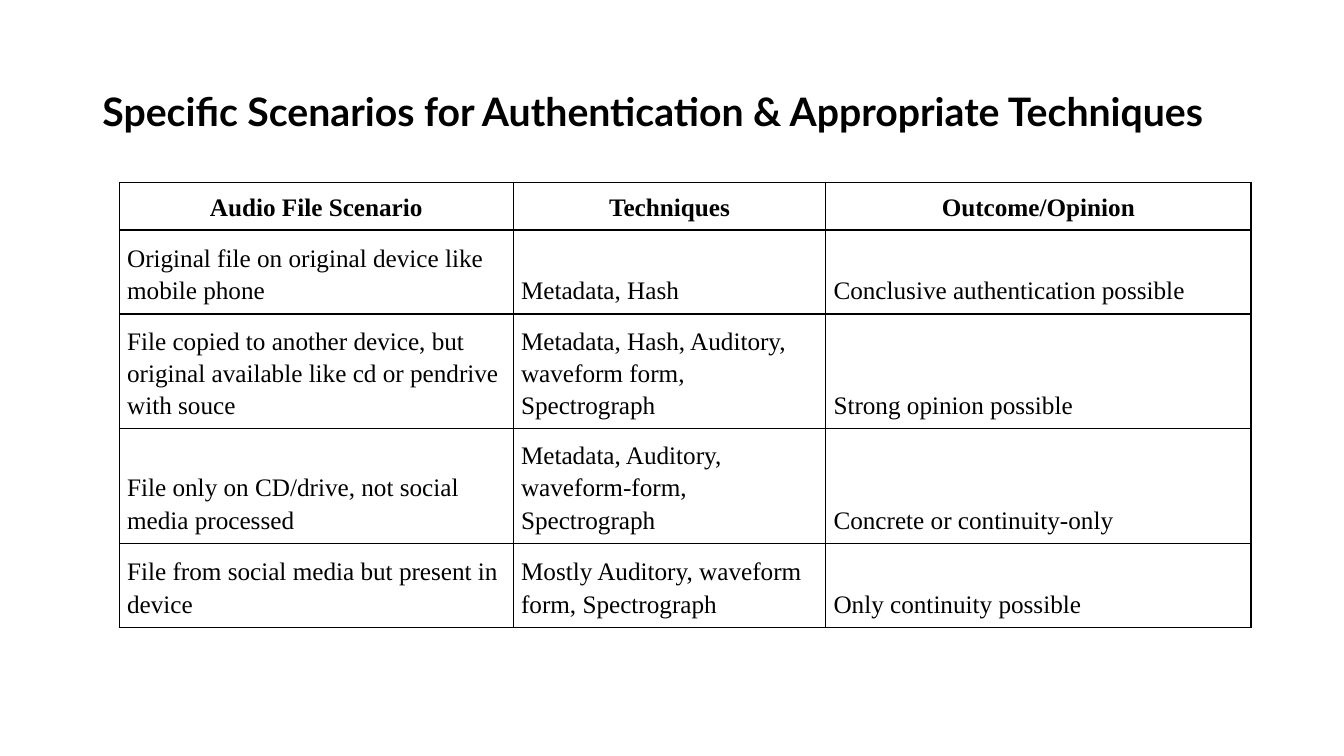
from dataclasses import dataclass

from lxml import etree
from pptx import Presentation
from pptx.dml.color import RGBColor
from pptx.enum import text
from pptx.oxml import ns
from pptx.util import Pt


@dataclass(frozen=True)
class Theme:
    ink: str = "000000"
    title_font: str = "Lato"
    table_font: str = "Times New Roman"
    title_size: int = 28
    table_size: int = 18
    border: int = 1


THEME = Theme()
TITLE = "Specific Scenarios for Authentication & Appropriate Techniques"
SCENARIOS = [
    ("Audio File Scenario", "Techniques", "Outcome/Opinion"),
    ("Original file on original device like mobile phone",
     "Metadata, Hash", "Conclusive authentication possible"),
    ("File copied to another device, but original available like cd or pendrive with souce",
     "Metadata, Hash, Auditory, waveform form, Spectrograph", "Strong opinion possible"),
    ("File only on CD/drive, not social media processed",
     "Metadata, Auditory, waveform-form, Spectrograph", "Concrete or continuity-only"),
    ("File from social media but present in device",
     "Mostly Auditory, waveform form, Spectrograph", "Only continuity possible"),
]
COLUMN_WIDTHS = (281.4, 223.2, 303.8)
ROW_HEIGHTS = (34, 60, 82, 82, 60)


def style_font(font, name, size, bold):
    font.name, font.size, font.bold = name, Pt(size), bold
    font.color.rgb = RGBColor.from_string(THEME.ink)


def add_title(slide, left, top, width, height):
    title = slide.shapes.title
    title.left, title.top, title.width, title.height = map(Pt, (left, top, width, height))
    frame = title.text_frame
    frame.text = TITLE
    frame.word_wrap = True
    frame.auto_size = text.MSO_AUTO_SIZE.NONE
    frame.vertical_anchor = text.MSO_ANCHOR.MIDDLE
    heading = frame.paragraphs[0]
    heading.alignment = text.PP_ALIGN.LEFT
    heading.line_spacing = 0.9
    style_font(heading.font, THEME.title_font, THEME.title_size, True)


def outline_cell(cell):
    properties = cell._tc.get_or_add_tcPr()
    for side in ("lnL", "lnR", "lnT", "lnB"):
        line = etree.SubElement(properties, ns.qn(f"a:{side}"), w=str(Pt(THEME.border)))
        fill = etree.SubElement(line, ns.qn("a:solidFill"))
        etree.SubElement(fill, ns.qn("a:srgbClr"), val=THEME.ink)


def fill_cell(cell, wording, is_header):
    outline_cell(cell)
    cell.fill.background()
    cell.margin_left = cell.margin_right = Pt(5.6)
    cell.margin_top = cell.margin_bottom = Pt(5.6 if is_header else 6.5)
    cell.vertical_anchor = text.MSO_ANCHOR.TOP if is_header else text.MSO_ANCHOR.BOTTOM
    cell.text = wording
    entry = cell.text_frame.paragraphs[0]
    entry.alignment = text.PP_ALIGN.CENTER if is_header else text.PP_ALIGN.LEFT
    entry.line_spacing = 1.15
    entry.space_after = Pt(8)
    style_font(entry.font, THEME.table_font, THEME.table_size, is_header)


def add_scenarios(slide, left, top):
    table = slide.shapes.add_table(
        len(SCENARIOS), len(COLUMN_WIDTHS), Pt(left), Pt(top),
        Pt(sum(COLUMN_WIDTHS)), Pt(sum(ROW_HEIGHTS))).table
    table.horz_banding = False
    table.first_row = False
    for column, width in zip(table.columns, COLUMN_WIDTHS):
        column.width = Pt(width)
    for index, (row, height, wordings) in enumerate(zip(table.rows, ROW_HEIGHTS, SCENARIOS)):
        row.height = Pt(height)
        for cell, wording in zip(row.cells, wordings):
            fill_cell(cell, wording, index == 0)


def main():
    deck = Presentation()
    deck.slide_width, deck.slide_height = Pt(960), Pt(540)
    slide = deck.slides.add_slide(deck.slide_layouts[5])
    add_title(slide, 66, 28.8, 828, 104.4)
    add_scenarios(slide, 85.2, 130.2)
    deck.save("out.pptx")


if __name__ == "__main__":
    main()
